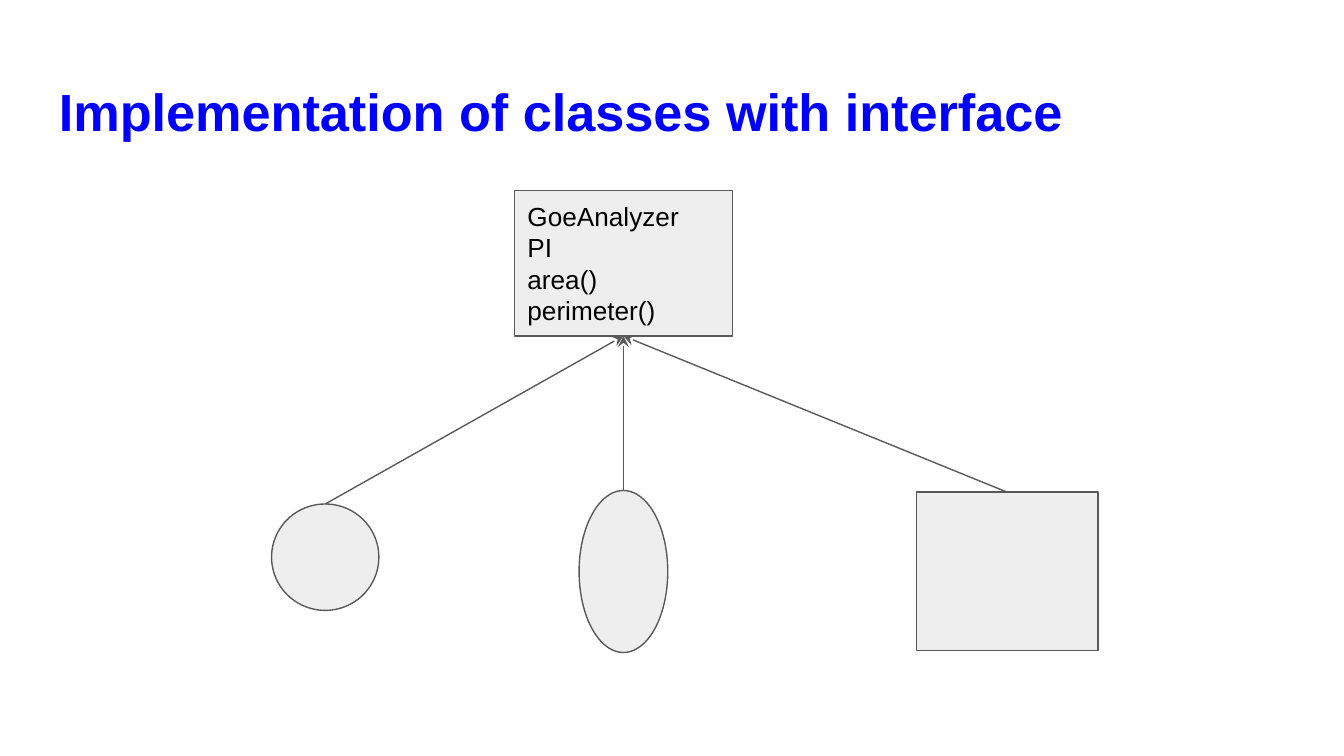
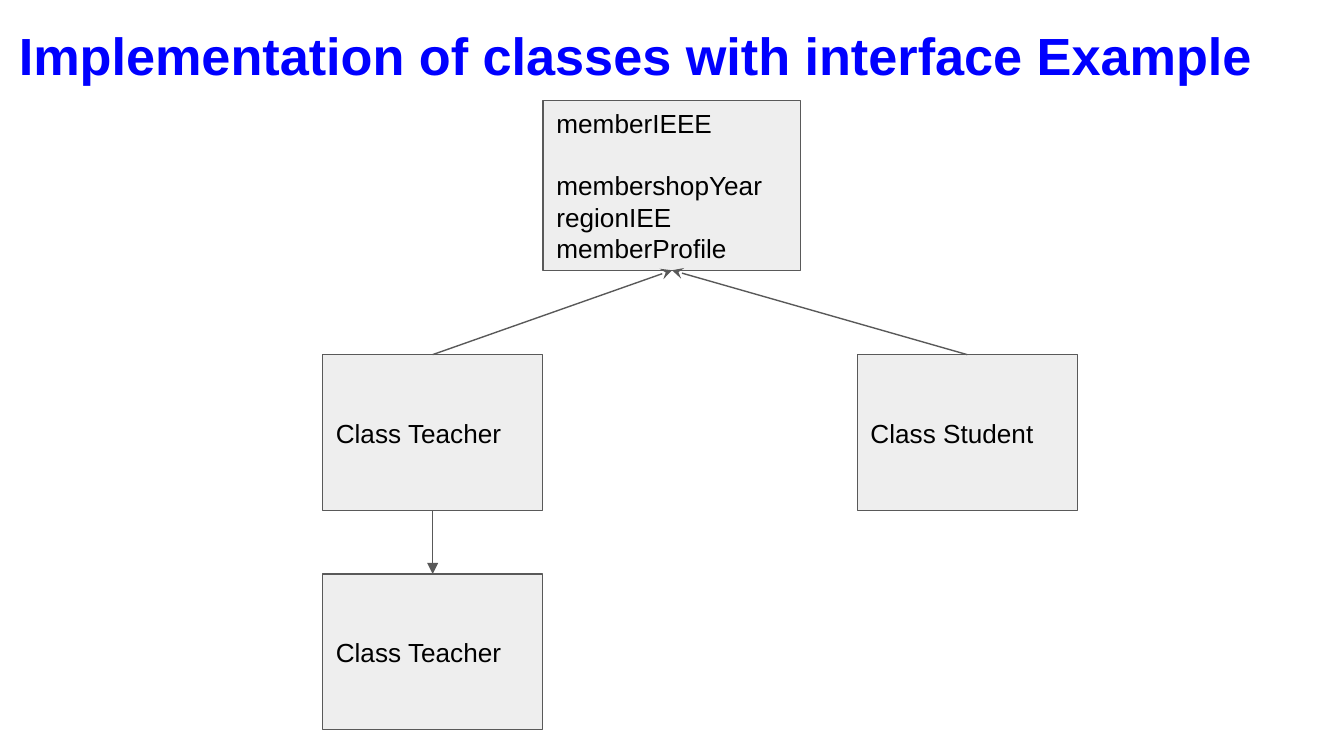
from dataclasses import dataclass

from lxml.etree import SubElement
from pptx import Presentation
from pptx.dml.color import RGBColor
from pptx.enum.shapes import MSO_CONNECTOR as Connector, MSO_SHAPE as Preset
from pptx.enum.text import MSO_ANCHOR as Anchor, PP_ALIGN as Align
from pptx.oxml.ns import qn
from pptx.shapes.autoshape import Shape
from pptx.slide import Slide
from pptx.text.text import TextFrame
from pptx.util import Pt

FONT = "Arial"
TITLE_COLOR, TEXT_COLOR = "0000FF", "000000"
FILL_COLOR, LINE_COLOR = "EEEEEE", "595959"
LINE_WIDTH, INSET, MEMBER_GAP = 0.75, 7.2, 16.8
TOP, BOTTOM = 0, 2
CLASS_WIDTH, CLASS_HEIGHT = 118, 83.5
TEACHER_LEFT, STUDENT_LEFT = 172.8, 459.2
CLASS_TOP, SUBCLASS_TOP = 190, 307.5


@dataclass(frozen=True)
class Node:
    """A class, interface or figure of the diagram, in points."""
    left: float
    top: float
    width: float
    height: float
    lines: tuple[str, ...] = ()
    preset: Preset = Preset.RECTANGLE
    gap_line: int | None = None


def rgb(color: str) -> RGBColor:
    """Turn a hex string into a colour."""
    return RGBColor.from_string(color)


def write(frame: TextFrame, lines: tuple[str, ...], size: float, color: str, bold: bool) -> None:
    """Fill a text frame with left-aligned lines in the shared font."""
    frame.word_wrap = True
    frame.margin_left = frame.margin_right = Pt(INSET)
    frame.margin_top = frame.margin_bottom = Pt(INSET)
    frame.text = "\n".join(lines)
    for paragraph in frame.paragraphs:
        paragraph.alignment = Align.LEFT
        for run in paragraph.runs:
            run.font.name = FONT
            run.font.size = Pt(size)
            run.font.bold = bold
            run.font.color.rgb = rgb(color)


def add_title(slide: Slide, title: str, left: float, top: float, width: float) -> None:
    """Add the blue slide title."""
    box = slide.shapes.add_textbox(Pt(left), Pt(top), Pt(width), Pt(45.4))
    write(box.text_frame, (title,), 28, TITLE_COLOR, True)


def add_node(slide: Slide, node: Node) -> Shape:
    """Draw a grey outlined node with its text, if any."""
    shape = slide.shapes.add_shape(
        node.preset, Pt(node.left), Pt(node.top), Pt(node.width), Pt(node.height))
    shape.shadow.inherit = False
    shape.fill.solid()
    shape.fill.fore_color.rgb = rgb(FILL_COLOR)
    shape.line.color.rgb = rgb(LINE_COLOR)
    shape.line.width = Pt(LINE_WIDTH)
    if node.lines:
        frame = shape.text_frame
        write(frame, node.lines, 14, TEXT_COLOR, False)
        frame.vertical_anchor = Anchor.MIDDLE
        if node.gap_line is not None:
            frame.paragraphs[node.gap_line].space_before = Pt(MEMBER_GAP)
    return shape


def add_arrow(slide: Slide, source: Shape, source_side: int,
              target: Shape, target_side: int, head: str = "stealth") -> None:
    """Join two nodes with a straight arrow that points at the target."""
    arrow = slide.shapes.add_connector(Connector.STRAIGHT, 0, 0, 0, 0)
    arrow.begin_connect(source, source_side)
    arrow.end_connect(target, target_side)
    arrow.line.color.rgb = rgb(LINE_COLOR)
    arrow.line.width = Pt(LINE_WIDTH)
    properties = arrow._element.spPr
    SubElement(properties.find(qn("a:ln")), qn("a:tailEnd"), type=head)
    SubElement(properties, qn("a:effectLst"))


def add_hierarchy(slide: Slide, interface: Node, implementers: tuple[Node, ...]) -> list[Shape]:
    """Draw an interface and the nodes below that point at it."""
    parent = add_node(slide, interface)
    children = [add_node(slide, node) for node in implementers]
    for child in children:
        add_arrow(slide, child, TOP, parent, BOTTOM)
    return children


def class_node(name: str, left: float, top: float) -> Node:
    """Describe a class box of the shared size."""
    return Node(left, top, CLASS_WIDTH, CLASS_HEIGHT, (f"Class {name}",))


def build_geometry(slide: Slide) -> None:
    """Build the slide on the geometry interface."""
    add_title(slide, "Implementation of classes with interface", 24.5, 35.3, 671)
    interface = Node(275.5, 102, 117, 78, ("GoeAnalyzer", "PI", "area()", "perimeter()"))
    circle = Node(145.5, 270, 57.5, 57, preset=Preset.OVAL)
    ellipse = Node(310.25, 262.8, 47.5, 86.8, preset=Preset.OVAL)
    rectangle = Node(491, 263.7, 97.2, 84.8)
    add_hierarchy(slide, interface, (circle, ellipse, rectangle))


def build_membership(slide: Slide) -> None:
    """Build the slide on the membership interface."""
    add_title(slide, "Implementation of classes with interface Example", 3, 5.2, 692.5)
    interface = Node(291, 54, 138, 90.8,
                     ("memberIEEE", "membershopYear", "regionIEE", "memberProfile"), gap_line=1)
    teacher, _ = add_hierarchy(slide, interface, (
        class_node("Teacher", TEACHER_LEFT, CLASS_TOP),
        class_node("Student", STUDENT_LEFT, CLASS_TOP)))
    subclass = add_node(slide, class_node("Teacher", TEACHER_LEFT, SUBCLASS_TOP))
    add_arrow(slide, teacher, BOTTOM, subclass, TOP, "triangle")


def main() -> None:
    """Build and save the presentation."""
    deck = Presentation()
    deck.slide_width, deck.slide_height = Pt(720), Pt(405)
    for build in (build_geometry, build_membership):
        build(deck.slides.add_slide(deck.slide_layouts[6]))
    deck.save("out.pptx")


if __name__ == "__main__":
    main()
